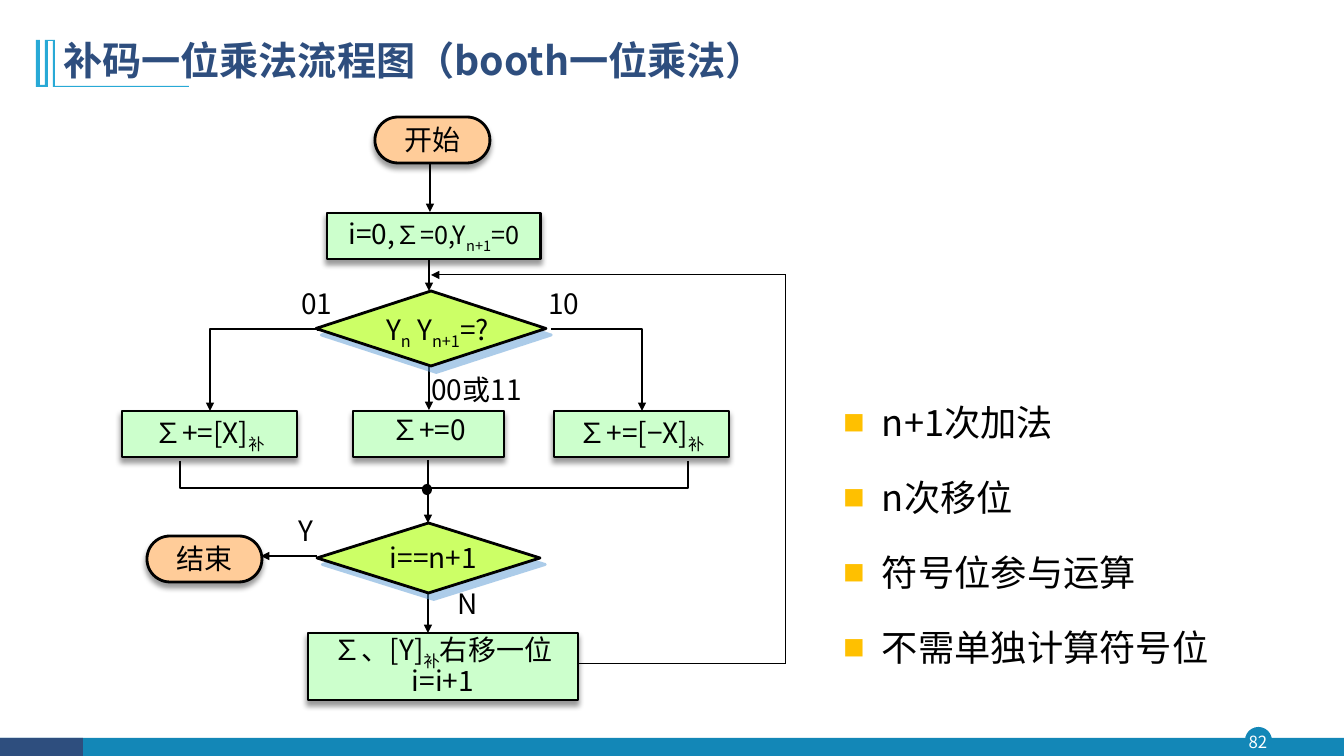
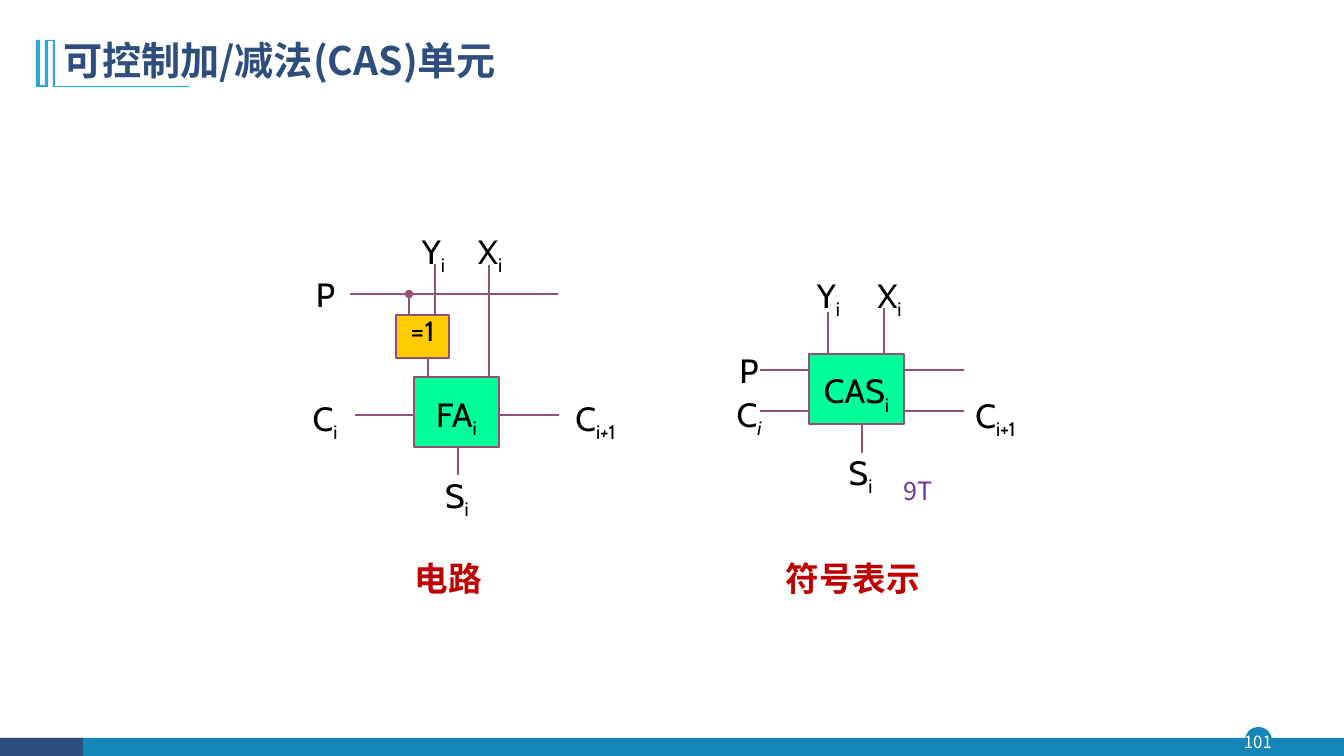
from dataclasses import dataclass, field
from itertools import pairwise
from typing import Any, NamedTuple

from lxml.etree import SubElement
from pptx import Presentation
from pptx.dml.color import RGBColor as RGB
from pptx.enum.shapes import MSO_CONNECTOR as Conn, MSO_SHAPE as Geo
from pptx.enum.text import MSO_ANCHOR as Anchor, PP_ALIGN as Align
from pptx.oxml.ns import qn
from pptx.util import Pt

EMU_PER_PX = 914400 / 100.8


def px(n: int) -> int:
    return round(n * EMU_PER_PX)


@dataclass(frozen=True)
class Theme:
    cjk: str = "Noto Sans CJK SC"
    latin: str = "Cabin"
    navy: str = "2E4E7E"
    teal: str = "1387B7"
    sky: str = "28A9D6"
    white: str = "FFFFFF"
    black: str = "000000"
    red: str = "C00000"
    purple: str = "7030A0"
    plum: str = "954F72"
    peach: str = "FFCC99"
    mint: str = "CCFFCC"
    lime: str = "CCFF66"
    green: str = "00FF99"
    gold: str = "FFCC00"
    amber: str = "FFC000"
    blue: str = "5B9BD5"
    title_pt: float = 28
    body_pt: float = 25.9
    symbol_pt: float = 24
    flow_pt: float = 20
    small_pt: float = 18
    number_pt: float = 12


TH = Theme()


class Box(NamedTuple):
    x: int
    y: int
    w: int
    h: int


class Style(NamedTuple):
    size: float
    color: str = TH.black
    font: str = TH.cjk
    bold: bool = False
    spacing: float = 0.8
    align: Align = Align.CENTER
    before: float = 0
    bullet: str = ""


class Run(NamedTuple):
    text: str
    sub: bool = False
    fmt: dict[str, Any] = {}


class Shadow(NamedTuple):
    color: str
    alpha: int
    blur: float
    dist: float
    angle: int


class Look(NamedTuple):
    geo: Geo
    fill: str
    line: str = TH.black
    width: float = 2
    shadow: Shadow | None = None
    inset: int = 0
    anchor: Anchor = Anchor.TOP


Runs = tuple[Run, ...]


@dataclass
class Node:
    box: Box
    look: Look
    style: Style
    lines: list[Runs] = field(default_factory=list)


class Label(NamedTuple):
    box: Box
    runs: Runs


class Wire(NamedTuple):
    points: list[tuple[int, int]]
    tail: str = ""
    width: float = 1


class Elbow(NamedTuple):
    box: Box
    preset: str
    turn: int = 0
    bend: int | None = None


TITLE = Style(TH.title_pt, TH.navy, bold=True, spacing=0.9, align=Align.LEFT)
NUMBER = Style(TH.number_pt, TH.white, spacing=1)
FLOW = Style(TH.flow_pt, before=3)
SYMBOL = Style(TH.symbol_pt, font=TH.latin)
GATE = Style(TH.flow_pt, font=TH.latin)
CAPTION = Style(TH.symbol_pt, TH.red, bold=True)
COST = Style(TH.small_pt, TH.purple, spacing=1.2, align=Align.LEFT)
BODY = Style(TH.body_pt, spacing=1.4, align=Align.LEFT, before=10, bullet="■")

SOFT = Shadow(TH.black, 40, 4, 3, 90)
HARD = Shadow(TH.blue, 50, 0, 6, 51)
TERMINAL = Look(Geo.ROUNDED_RECTANGLE, TH.peach, shadow=SOFT, inset=5)
STEP = Look(Geo.RECTANGLE, TH.mint, shadow=SOFT, inset=8)
LOOP_STEP = STEP._replace(inset=0, anchor=Anchor.MIDDLE)
TEST = Look(Geo.DIAMOND, TH.lime, shadow=HARD)
JOINT = Look(Geo.OVAL, TH.black, width=1.5)
UNIT = Look(Geo.RECTANGLE, TH.green, TH.plum, 1.5, inset=8, anchor=Anchor.MIDDLE)
XOR = UNIT._replace(fill=TH.gold, inset=5, anchor=Anchor.TOP)


def marked(text: str, **fmt: Any) -> Runs:
    parts = enumerate(text.split("~"))
    return tuple(Run(t, i % 2 == 1, fmt) for i, t in parts if t)


def write(tf, lines: list[Runs], style: Style, anchor: Anchor,
          margins: tuple[int, int, int, int] = (0, 0, 0, 0)) -> None:
    sides = ("margin_left", "margin_top", "margin_right", "margin_bottom")
    frame = {"word_wrap": True, "vertical_anchor": anchor}
    frame |= {side: px(m) for side, m in zip(sides, margins)}
    for name, value in frame.items():
        setattr(tf, name, value)
    for i, runs in enumerate(lines):
        p = tf.add_paragraph() if i else tf.paragraphs[0]
        if style.bullet:
            add_bullet(p, style.bullet)
        para = {"alignment": style.align, "line_spacing": style.spacing,
                "space_before": Pt(style.before if i else 0)}
        for name, value in para.items():
            setattr(p, name, value)
        for run in runs:
            add_run(p, run, style)


def add_run(p, run: Run, style: Style) -> None:
    r = p.add_run()
    r.text = run.text
    fmt = {"size": Pt(style.size), "bold": style.bold, "name": style.font} | run.fmt
    for name, value in fmt.items():
        setattr(r.font, name, value)
    r.font.color.rgb = RGB.from_string(style.color)
    props = r._r.get_or_add_rPr()
    SubElement(props, qn("a:ea"), typeface=TH.cjk)
    if run.sub:
        props.set("baseline", "-25000")


def add_bullet(p, char: str) -> None:
    props = p._p.get_or_add_pPr()
    props.set("marL", str(px(38)))
    props.set("indent", str(-px(38)))
    SubElement(SubElement(props, qn("a:buClr")), qn("a:srgbClr"), val=TH.amber)
    SubElement(props, qn("a:buSzPct"), val="60000")
    SubElement(props, qn("a:buFont"), typeface=TH.cjk)
    SubElement(props, qn("a:buChar"), char=char)


def add_text(slide, box: Box, lines: list[Runs], style: Style,
             anchor: Anchor = Anchor.TOP,
             margins: tuple[int, int, int, int] = (0, 0, 0, 0)) -> None:
    s = slide.shapes.add_textbox(*map(px, box))
    write(s.text_frame, lines, style, anchor, margins)


def paint(s, fill: str = "", line: str = "", width: float = 1) -> None:
    s.shadow.inherit = False
    for part, color in ((s.fill, fill), (s.line.fill, line)):
        if color:
            part.solid()
            part.fore_color.rgb = RGB.from_string(color)
        else:
            part.background()
    if line:
        s.line.width = Pt(width)


def add_outline(slide, points: list[tuple[int, int]], close: bool):
    fb = slide.shapes.build_freeform(*points[0], scale=EMU_PER_PX)
    fb.add_line_segments(points[1:], close=close)
    return fb.convert_to_shape()


def add_shadow(s, shadow: Shadow) -> None:
    effects = s._element.spPr.find(qn("a:effectLst"))
    outer = SubElement(effects, qn("a:outerShdw"), blurRad=str(Pt(shadow.blur)),
                       dist=str(Pt(shadow.dist)), dir=str(shadow.angle * 60000),
                       algn="ctr", rotWithShape="0")
    color = SubElement(outer, qn("a:srgbClr"), val=shadow.color)
    SubElement(color, qn("a:alpha"), val=str(shadow.alpha * 1000))


def add_node(slide, node: Node) -> None:
    look = node.look
    s = slide.shapes.add_shape(look.geo, *map(px, node.box))
    paint(s, look.fill, look.line, look.width)
    if look.geo == Geo.ROUNDED_RECTANGLE:
        s.adjustments[0] = 0.5
    if look.shadow:
        add_shadow(s, look.shadow)
    if node.lines:
        write(s.text_frame, node.lines, node.style, look.anchor, (0, look.inset, 0, 0))


def stroke(s, color: str, width: float, tail: str) -> None:
    s.line.color.rgb = RGB.from_string(color)
    s.line.width = Pt(width)
    if tail:
        SubElement(s.line._get_or_add_ln(), qn("a:tailEnd"), type=tail)
    SubElement(s._element.spPr, qn("a:effectLst"))


def add_wire(slide, wire: Wire, color: str) -> None:
    for a, b in pairwise(wire.points):
        s = slide.shapes.add_connector(Conn.STRAIGHT, *map(px, (*a, *b)))
        stroke(s, color, wire.width, wire.tail if b == wire.points[-1] else "")


def add_elbow(slide, elbow: Elbow) -> None:
    x, y, w, h = elbow.box
    s = slide.shapes.add_connector(Conn.ELBOW, *map(px, (x, y, x + w, y + h)))
    props = s._element.spPr
    geom = props.find(qn("a:prstGeom"))
    geom.set("prst", elbow.preset)
    if elbow.turn:
        props.find(qn("a:xfrm")).set("rot", str(elbow.turn * 60000))
    if elbow.bend is not None:
        SubElement(geom.find(qn("a:avLst")), qn("a:gd"), name="adj1",
                   fmla=f"val {elbow.bend}")
    stroke(s, TH.black, 1, "triangle")


def add_page(prs, title: str, number: str):
    slide = prs.slides.add_slide(prs.slide_layouts[6])
    bands = [(Geo.OVAL, Box(1245, 727, 27, 27), TH.teal),
             (Geo.RECTANGLE, Box(0, 738, 1344, 18), TH.teal),
             (Geo.RECTANGLE, Box(0, 738, 83, 18), TH.navy)]
    for geo, box, color in bands:
        paint(slide.shapes.add_shape(geo, *map(px, box)), color)
    add_text(slide, Box(1242, 726, 32, 31), [marked(number)], NUMBER, Anchor.MIDDLE)
    mark = [(55, 40), (55, 86), (189, 86), (189, 87), (53, 87), (53, 41), (48, 41),
            (48, 87), (36, 87), (36, 40), (40, 40), (40, 85), (45, 85), (45, 40)]
    paint(add_outline(slide, mark, True), TH.sky)
    add_text(slide, Box(53, 28, 1159, 69), [marked(title)], TITLE, Anchor.MIDDLE,
             (10, 5, 10, 5))
    return slide


def add_diagram(slide, wires: list[Wire], color: str, nodes: list[Node],
                labels: list[Label], style: Style) -> None:
    for wire in wires:
        add_wire(slide, wire, color)
    for node in nodes:
        add_node(slide, node)
    for label in labels:
        add_text(slide, label.box, [label.runs], style)


def booth_slide(prs) -> None:
    slide = add_page(prs, "补码一位乘法流程图（booth一位乘法）", "82")
    arrows = [[(430, 164), (430, 212)], [(429, 260), (429, 291)], [(429, 363), (429, 410)],
              [(428, 460), (428, 523)], [(428, 593), (428, 633)], [(317, 556), (261, 556)]]
    wires = [Wire(points, "triangle") for points in arrows]
    wires.append(Wire([(552, 664), (786, 664), (786, 275), (431, 275)], "triangle", 0.75))
    for elbow in (Elbow(Box(224, 317, 80, 108), "bentConnector3", 90, -2400),
                  Elbow(Box(551, 329, 91, 82), "bentConnector2")):
        add_elbow(slide, elbow)
    merge = [(180, 461), (180, 488), (688, 488), (688, 461)]
    paint(add_outline(slide, merge, False), line=TH.black)
    init = marked("i=0,") + marked("∑=0,Y~n+1~=0", size=Pt(TH.small_pt))
    nodes = [Node(Box(375, 117, 115, 46), TERMINAL, FLOW, [marked("开始")]),
             Node(Box(327, 213, 214, 46), STEP, FLOW, [init]),
             Node(Box(316, 291, 230, 75), TEST, FLOW),
             Node(Box(122, 411, 175, 46), STEP, FLOW, [marked("∑+=[X]~补~")]),
             Node(Box(353, 411, 151, 46), STEP, FLOW, [marked("∑+=0")]),
             Node(Box(554, 411, 175, 46), STEP, FLOW, [marked("∑+=[−X]~补~")]),
             Node(Box(423, 485, 8, 9), JOINT, FLOW),
             Node(Box(147, 536, 115, 46), TERMINAL, FLOW, [marked("结束")]),
             Node(Box(317, 523, 223, 70), TEST, FLOW),
             Node(Box(308, 633, 270, 67), LOOP_STEP, FLOW,
                  [marked("∑、[Y]~补~右移一位"), marked("i=i+1")])]
    labels = [Label(Box(384, 316, 107, 46), marked("Y~n~ Y~n+1~=?")),
              Label(Box(380, 547, 107, 46), marked("i==n+1")),
              Label(Box(291, 293, 52, 38), marked("01")),
              Label(Box(538, 293, 52, 38), marked("10")),
              Label(Box(415, 379, 123, 38), marked("00或11")),
              Label(Box(282, 520, 48, 38), marked("Y")),
              Label(Box(444, 593, 48, 38), marked("N"))]
    add_diagram(slide, wires, TH.black, nodes, labels, FLOW)
    points = ["n+1次加法", "n次移位", "符号位参与运算", "不需单独计算符号位"]
    add_text(slide, Box(834, 378, 449, 300), [marked(t) for t in points], BODY,
             margins=(10, 5, 10, 5))


def cas_slide(prs) -> None:
    slide = add_page(prs, "可控制加/减法(CAS)单元", "101")
    lines = [[(355, 415), (559, 415)], [(458, 447), (458, 475)], [(428, 377), (428, 347)],
             [(435, 315), (435, 264)], [(350, 294), (558, 294)], [(489, 377), (489, 265)],
             [(760, 411), (964, 411)], [(760, 370), (964, 370)], [(862, 405), (862, 453)],
             [(884, 353), (884, 308)], [(828, 353), (828, 312)]]
    wires = [Wire(points, width=1.5) for points in lines]
    wires.append(Wire([(409, 317), (409, 294)], "oval", 1.5))
    nodes = [Node(Box(396, 315, 53, 43), XOR, GATE, [marked("=1")]),
             Node(Box(414, 377, 85, 70), UNIT, SYMBOL, [marked("FA~i~")]),
             Node(Box(809, 354, 95, 70), UNIT, SYMBOL, [marked("CAS~i~")])]
    italic = {"italic": True}
    carry = (*marked("C~i~"), Run("+", True, italic), Run("1", True))
    labels = [Label(Box(558, 402, 75, 40), carry),
              Label(Box(302, 282, 47, 38), marked("P")),
              Label(Box(290, 402, 70, 30), marked("C~i~")),
              Label(Box(441, 479, 32, 34), marked("S~i~")),
              Label(Box(412, 235, 43, 28), marked("Y~i~")),
              Label(Box(467, 235, 46, 28), marked("X~i~")),
              Label(Box(733, 358, 32, 33), marked("P")),
              Label(Box(725, 398, 48, 35), (Run("C"), Run("i", True, italic))),
              Label(Box(808, 279, 41, 31), marked("Y~i~")),
              Label(Box(866, 279, 47, 31), marked("X~i~")),
              Label(Box(964, 399, 63, 34), marked("C~i+1~")),
              Label(Box(845, 456, 31, 33), marked("S~i~"))]
    add_diagram(slide, wires, TH.plum, nodes, labels, SYMBOL)
    for box, caption in [(Box(359, 566, 179, 45), "电路"),
                         (Box(744, 566, 218, 45), "符号表示")]:
        add_text(slide, box, [marked(caption)], CAPTION)
    add_text(slide, Box(894, 464, 66, 36), [marked("9T")], COST, margins=(10, 5, 10, 5))


def main() -> None:
    prs = Presentation()
    prs.slide_width, prs.slide_height = px(1344), px(756)
    booth_slide(prs)
    cas_slide(prs)
    prs.save("out.pptx")


if __name__ == "__main__":
    main()
